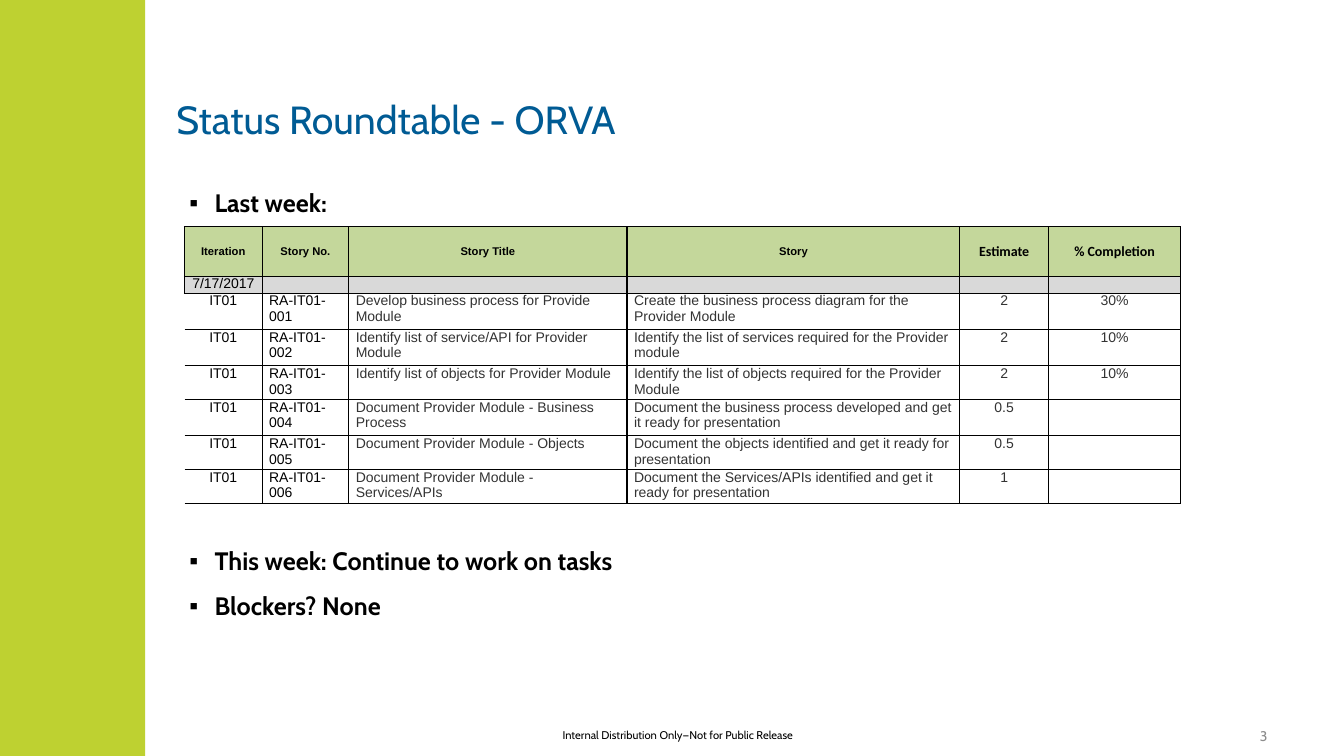
from lxml.etree import SubElement
from pptx import Presentation
from pptx.dml.color import RGBColor
from pptx.enum.shapes import MSO_SHAPE
from pptx.enum.text import MSO_ANCHOR, PP_ALIGN
from pptx.oxml import parse_xml
from pptx.oxml.ns import nsdecls, qn
from pptx.util import Inches, Pt


class Theme:
    lime = RGBColor.from_string("BED131")
    blue = RGBColor.from_string("005B94")
    black = RGBColor.from_string("000000")
    white = RGBColor.from_string("FFFFFF")
    text = RGBColor.from_string("333333")
    muted = RGBColor.from_string("8C8C8C")
    head = RGBColor.from_string("C4D79B")
    band = RGBColor.from_string("D9D9D9")
    title = dict(name="Cabin", size=Pt(28), color=blue)
    bullet = dict(name="Cabin", size=Pt(18), color=black, bold=True)
    footer = dict(name="Cabin", size=Pt(8), color=black)
    number = dict(name="Cabin", size=Pt(10), color=muted)
    head_text = dict(name="Arial", size=Pt(8), color=black, bold=True)
    head_wide = dict(name="Calibri", size=Pt(10), color=black, bold=True)
    key_cell = dict(name="Arial", size=Pt(10), color=black)
    cell = dict(name="Arial", size=Pt(10), color=text)


COLS = [0.77, 0.86, 2.76, 3.3, 0.88, 1.31]
ROWS = [0.49, 0.17, 0.36, 0.36, 0.31, 0.36, 0.31, 0.31]
HEADER = ["Iteration", "Story No.", "Story Title", "Story", "Estimate", "% Completion"]
STORIES = [
    ("Develop business process for Provide Module",
     "Create the business process diagram for the Provider Module", "2", "30%"),
    ("Identify list of service/API for Provider Module",
     "Identify the list of services required for the Provider module", "2", "10%"),
    ("Identify list of objects for Provider Module",
     "Identify the list of objects required for the Provider Module", "2", "10%"),
    ("Document Provider Module - Business Process",
     "Document the business process developed and get it ready for presentation", "0.5", ""),
    ("Document Provider Module - Objects",
     "Document the objects identified and get it ready for presentation", "0.5", ""),
    ("Document Provider Module - Services/APIs",
     "Document the Services/APIs identified and get it ready for presentation", "1", ""),
]
BULLETS = [("Last week:", 0), ("This week: Continue to work on tasks", 224),
           ("Blockers? None", 0)]


def write(p, text, style, align=PP_ALIGN.LEFT):
    p.alignment = align
    if not text:
        p._p.get_or_add_endParaRPr().set("sz", str(int(style["size"].pt * 100)))
        return
    r = p.add_run()
    r.text = text
    for key, value in style.items():
        if key == "color":
            r.font.color.rgb = value
        else:
            setattr(r.font, key, value)


def place(sp, box):
    for key, value in zip(("left", "top", "width", "height"), box):
        setattr(sp, key, Inches(value))


def add_text(s, box, text, style, align, anchor=MSO_ANCHOR.TOP):
    tf = s.shapes.add_textbox(*map(Inches, box)).text_frame
    tf.word_wrap = True
    tf.vertical_anchor = anchor
    write(tf.paragraphs[0], text, style, align)


def add_side_band(s, box):
    sp = s.shapes.add_shape(MSO_SHAPE.RECTANGLE, *map(Inches, box))
    sp.shadow.inherit = False
    sp.fill.solid()
    sp.fill.fore_color.rgb = Theme.lime
    sp.line.fill.background()


def add_title(s, box, text):
    sp = s.shapes.title
    place(sp, box)
    sp.text_frame.vertical_anchor = MSO_ANCHOR.MIDDLE
    write(sp.text_frame.paragraphs[0], text, Theme.title)


def add_bullets(s, box):
    tf = s.shapes.add_textbox(*map(Inches, box)).text_frame
    tf.word_wrap = True
    for i, (text, gap) in enumerate(BULLETS):
        p = tf.add_paragraph() if i else tf.paragraphs[0]
        write(p, text, Theme.bullet)
        p.line_spacing, p.space_before, p.space_after = 1.2, Pt(gap), Pt(6)
        pPr = p._p.get_or_add_pPr()
        pPr.set("marL", str(Inches(0.38)))
        pPr.set("indent", str(Inches(-0.25)))
        SubElement(pPr, qn("a:buFont")).set("typeface", "Arial")
        SubElement(pPr, qn("a:buChar")).set("char", "▪")


def set_borders(cell, open_left):
    tcPr = cell._tc.get_or_add_tcPr()
    for i, side in enumerate("LRTB"):
        line = ("<a:noFill/>" if side == "L" and open_left else
                f'<a:solidFill><a:srgbClr val="{Theme.black}"/></a:solidFill>')
        tcPr.insert(i, parse_xml(
            f'<a:ln{side} {nsdecls("a")} w="{Pt(1)}">{line}</a:ln{side}>'))


def cell_style(row, col):
    if row == 0:
        return Theme.head_text if col < 4 else Theme.head_wide
    return Theme.key_cell if row == 1 or col < 2 else Theme.cell


def add_story_table(s, left, top):
    data = [HEADER, ["7/17/2017"] + [""] * 5]
    data += [("IT01", f"RA-IT01-{i:03}", *story) for i, story in enumerate(STORIES, 1)]
    size = Inches(sum(COLS)), Inches(sum(ROWS))
    table = s.shapes.add_table(len(ROWS), len(COLS), Inches(left), Inches(top), *size).table
    table.first_row = table.horz_banding = False
    for column, width in zip(table.columns, COLS):
        column.width = Inches(width)
    for row, height in zip(table.rows, ROWS):
        row.height = Inches(height)
    cell_format = dict(margin_left=Inches(0.07), margin_right=Inches(0.07),
                       margin_top=0, margin_bottom=0)
    fills = {0: Theme.head, 1: Theme.band}
    for i, values in enumerate(data):
        for j, text in enumerate(values):
            cell = table.cell(i, j)
            for key, value in cell_format.items():
                setattr(cell, key, value)
            cell.vertical_anchor = MSO_ANCHOR.TOP if i else MSO_ANCHOR.MIDDLE
            cell.fill.solid()
            cell.fill.fore_color.rgb = fills.get(i, Theme.white)
            centred = i == 0 or j in (0, 4, 5)
            write(cell.text_frame.paragraphs[0], text, cell_style(i, j),
                  PP_ALIGN.CENTER if centred else PP_ALIGN.LEFT)
            set_borders(cell, open_left=i > 1 and j == 0)


def main():
    prs = Presentation()
    prs.slide_width, prs.slide_height = Inches(13.33), Inches(7.5)
    s = prs.slides.add_slide(prs.slide_layouts[5])
    # Frame and title
    add_side_band(s, (0, 0, 1.44, 7.5))
    add_title(s, (1.65, 0.79, 10.89, 0.78), "Status Roundtable - ORVA")
    # Status points around the story table
    add_bullets(s, (1.65, 1.75, 10.89, 4.99))
    add_story_table(s, 1.83, 2.25)
    # Footer
    add_text(s, (4.69, 7.18, 4.07, 0.24), "Internal Distribution Only—Not for Public Release",
             Theme.footer, PP_ALIGN.CENTER)
    add_text(s, (10, 7.1, 2.67, 0.4), "3", Theme.number, PP_ALIGN.RIGHT, MSO_ANCHOR.MIDDLE)
    prs.save("out.pptx")


if __name__ == "__main__":
    main()
